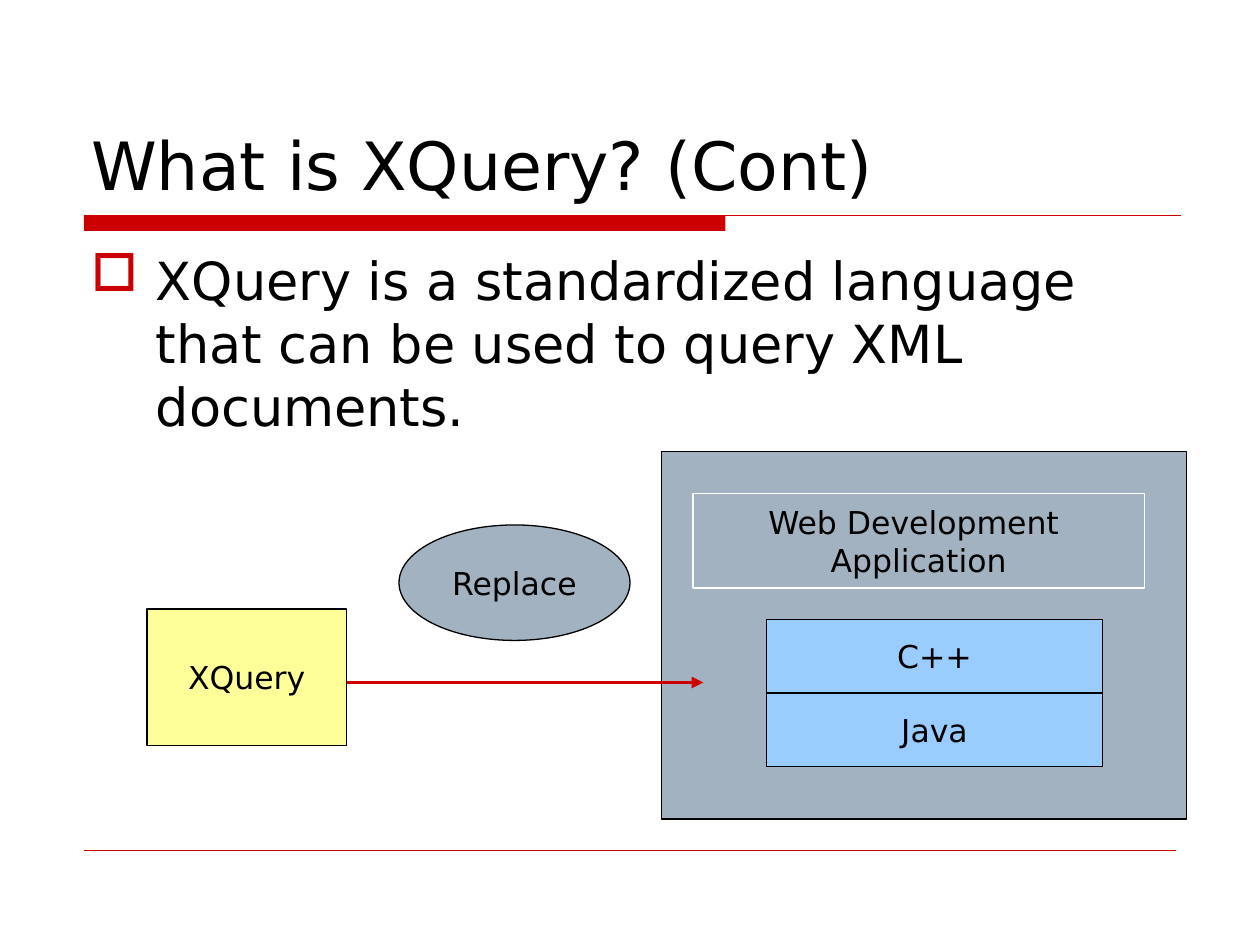
from lxml import etree
from pptx import Presentation
from pptx.dml.color import RGBColor
from pptx.enum.shapes import MSO_CONNECTOR, MSO_SHAPE
from pptx.enum.text import MSO_ANCHOR, PP_ALIGN
from pptx.oxml.ns import qn
from pptx.util import Pt

RECTANGLE, OVAL = MSO_SHAPE.RECTANGLE, MSO_SHAPE.OVAL
STRAIGHT = MSO_CONNECTOR.STRAIGHT
TOP, MIDDLE, BOTTOM = MSO_ANCHOR.TOP, MSO_ANCHOR.MIDDLE, MSO_ANCHOR.BOTTOM
CENTER = PP_ALIGN.CENTER

FONT = "DejaVu Sans"
COLORS = {"red": "CC0000", "black": "000000", "white": "FFFFFF",
          "yellow": "FFFF99", "gray": "A3B2C1", "blue": "99CCFF"}

TITLE = "What is XQuery? (Cont)"
STATEMENT = "XQuery is a standardized language that can be used to query XML documents."
LANGUAGES = ["C++", "Java"]
LANGUAGE_LEFT, LANGUAGE_TOP, LANGUAGE_WIDTH, LANGUAGE_HEIGHT = 438, 354, 192, 42

BLOCKS = [
    (RECTANGLE, "XQuery", (84, 348, 114, 78), "yellow", "black"),
    (RECTANGLE, "", (378, 258, 300, 210), "gray", "black"),
    (RECTANGLE, "Web Development \vApplication", (396, 282, 258, 54), "gray", "white"),
    (OVAL, "Replace", (228, 300, 132, 66), "gray", "black"),
] + [
    (RECTANGLE, name,
     (LANGUAGE_LEFT, LANGUAGE_TOP + row * LANGUAGE_HEIGHT, LANGUAGE_WIDTH, LANGUAGE_HEIGHT),
     "blue", "black")
    for row, name in enumerate(LANGUAGES)
]


def color(name):
    return RGBColor.from_string(COLORS[name])


def write(frame, text, size, anchor, wrap):
    frame.word_wrap = wrap
    frame.vertical_anchor = anchor
    para = frame.paragraphs[0]
    para.text = text
    para.font.name = FONT
    para.font.size = Pt(size)
    para.font.color.rgb = color("black")
    return para


def add_block(page, kind, text, place, fill, line):
    block = page.shapes.add_shape(kind, *map(Pt, place))
    block.shadow.inherit = False
    block.fill.solid()
    block.fill.fore_color.rgb = color(fill)
    if line:
        block.line.color.rgb = color(line)
        block.line.width = Pt(0.75)
    else:
        block.line.fill.background()
    if text:
        write(block.text_frame, text, 18, MIDDLE, False).alignment = CENTER


def add_rule(page, left, right, height, width):
    rule = page.shapes.add_connector(STRAIGHT, Pt(left), Pt(height), Pt(right), Pt(height))
    rule.line.color.rgb = color("red")
    rule.line.width = Pt(width)
    etree.SubElement(rule._element.spPr, qn("a:effectLst"))
    return rule


def add_text(page, text, place, size, anchor):
    box = page.shapes.add_textbox(*map(Pt, place))
    return write(box.text_frame, text, size, anchor, True)


def add_bullet(para, symbol, indent):
    properties = para._p.get_or_add_pPr()
    properties.set("marL", str(Pt(indent)))
    properties.set("indent", str(-Pt(indent)))
    bullet_color = etree.Element(qn("a:buClr"))
    etree.SubElement(bullet_color, qn("a:srgbClr"), val=COLORS["red"])
    bullet = etree.Element(qn("a:buChar"), char=symbol)
    properties.insert(0, bullet_color)
    properties.insert(1, bullet)


def main():
    deck = Presentation()
    deck.slide_width, deck.slide_height = Pt(720), Pt(540)
    page = deck.slides.add_slide(deck.slide_layouts[6])

    add_block(page, RECTANGLE, "", (48, 123, 366.5, 9), "red", None)
    add_rule(page, 48, 675, 123, 0.75)
    add_rule(page, 48, 672, 486, 0.25)

    add_text(page, TITLE, (45, 24, 630, 96), 38, BOTTOM)
    statement = add_text(page, STATEMENT, (45, 138, 630, 336), 30, TOP)
    add_bullet(statement, "□", 37)

    for block in BLOCKS:
        add_block(page, *block)

    arrow = add_rule(page, 198, 402, 390, 2.25)
    etree.SubElement(arrow.line._get_or_add_ln(), qn("a:tailEnd"), type="triangle")

    deck.save("out.pptx")


if __name__ == "__main__":
    main()
